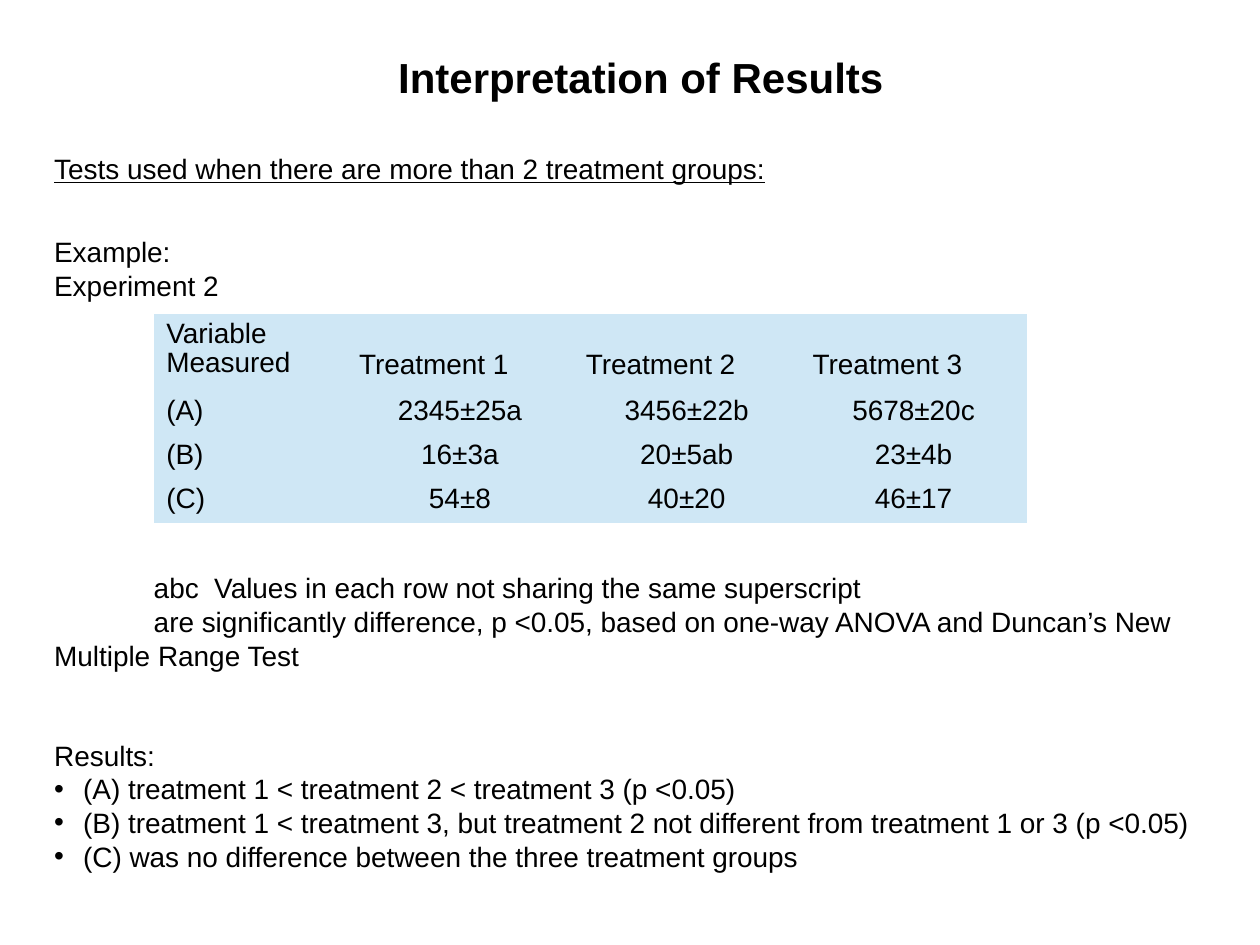
from lxml import etree
from pptx import Presentation
from pptx.dml.color import RGBColor
from pptx.enum.text import MSO_ANCHOR, MSO_AUTO_SIZE, PP_ALIGN
from pptx.oxml.ns import qn
from pptx.util import Inches, Pt

LEFT, CENTER = PP_ALIGN.LEFT, PP_ALIGN.CENTER
TOP, BOTTOM = MSO_ANCHOR.TOP, MSO_ANCHOR.BOTTOM
NO_AUTOFIT = MSO_AUTO_SIZE.NONE

# Content
COLORS = {"text": "000000", "cell": "CFE7F5"}
FONT = "Arial"
TITLE = "Interpretation of Results"
# Text, kind of paragraph, space before in points
BODY = [
    ("Tests used when there are more than 2 treatment groups:", "heading", 0),
    ("Example:", "plain", 28.5),
    ("Experiment 2", "plain", 0),
    ("abc  Values in each row not sharing the same superscript", "note", 153.4),
    ("are significantly difference, p <0.05, based on one-way ANOVA "
     "and Duncan’s New Multiple Range Test", "note", 0),
    ("Results:", "plain", 38),
    ("(A) treatment 1 < treatment 2 < treatment 3 (p <0.05)", "bullet", 0),
    ("(B) treatment 1 < treatment 3, but treatment 2 not different "
     "from treatment 1 or 3 (p <0.05)", "bullet", 0),
    ("(C) was no difference between the three treatment groups", "bullet", 0),
]
# Left margin and first-line indent in inches
INDENTS = {"heading": (0, 0), "plain": (0, 0), "note": (0, 0.79), "bullet": (0.23, -0.23)}
RESULTS = [
    ("Variable\nMeasured", "Treatment 1", "Treatment 2", "Treatment 3"),
    ("(A)", "2345±25a", "3456±22b", "5678±20c"),
    ("(B)", "16±3a", "20±5ab", "23±4b"),
    ("(C)", "54±8", "40±20", "46±17"),
]
COLUMN_WIDTHS = [1.53, 1.8, 1.8, 1.8]
ROW_HEIGHTS = [0.61, 0.35, 0.35, 0.35]
NO_STYLE_NO_GRID = "{2D5ABB26-0587-4C30-8999-92F81FD0307C}"


def place(shape, left, top, width, height):
    shape.left, shape.top = Inches(left), Inches(top)
    shape.width, shape.height = Inches(width), Inches(height)


def format_font(font, size=16):
    font.name, font.size = FONT, Pt(size)
    font.color.rgb = RGBColor.from_string(COLORS["text"])


def set_bullet(paragraph, kind):
    properties = paragraph._p.get_or_add_pPr()
    margin, indent = INDENTS[kind]
    properties.set("marL", str(Inches(margin)))
    properties.set("indent", str(Inches(indent)))
    if kind == "bullet":
        etree.SubElement(properties, qn("a:buChar")).set("char", "•")
    else:
        etree.SubElement(properties, qn("a:buNone"))


presentation = Presentation()
presentation.slide_width, presentation.slide_height = Inches(10), Inches(7.5)
slide = presentation.slides.add_slide(presentation.slide_layouts[1])

# Title, on one line: the right margin is given up to the text
title = slide.shapes.title
place(title, 3.06, 0.36, 4.05, 0.5)
title.text_frame.text = TITLE
title.text_frame.word_wrap = True
title.text_frame.margin_right = 0
title.text_frame.auto_size = NO_AUTOFIT
title.text_frame.vertical_anchor = TOP
title_paragraph = title.text_frame.paragraphs[0]
title_paragraph.alignment = LEFT
format_font(title_paragraph.font, 24)
title_paragraph.font.bold = True

# Body text, with room for the table after "Experiment 2"
body = slide.placeholders[1]
place(body, 0.33, 1.15, 9.51, 7.09)
body.text_frame.text = "\n".join(text for text, _, _ in BODY)
body.text_frame.auto_size = NO_AUTOFIT
for paragraph, (_, kind, space) in zip(body.text_frame.paragraphs, BODY):
    paragraph.line_spacing = Pt(19.25)
    paragraph.space_before = Pt(space)
    set_bullet(paragraph, kind)
    format_font(paragraph.font)
    paragraph.font.underline = kind == "heading"

# Results table
frame = slide.shapes.add_table(
    len(RESULTS), len(COLUMN_WIDTHS), Inches(1.22), Inches(2.49),
    Inches(sum(COLUMN_WIDTHS)), Inches(sum(ROW_HEIGHTS)))
table = frame.table
table.first_row = table.horz_banding = False
table._tbl.tblPr.find(qn("a:tableStyleId")).text = NO_STYLE_NO_GRID
for column, width in zip(table.columns, COLUMN_WIDTHS):
    column.width = Inches(width)
for row_index, (row, height) in enumerate(zip(table.rows, ROW_HEIGHTS)):
    row.height = Inches(height)
    for column_index, cell in enumerate(row.cells):
        is_value = row_index > 0 and column_index > 0
        cell.text = RESULTS[row_index][column_index]
        cell.fill.solid()
        cell.fill.fore_color.rgb = RGBColor.from_string(COLORS["cell"])
        if row_index == 0 and column_index > 0:
            cell.vertical_anchor = BOTTOM
            cell.margin_bottom = Inches(0.08)
        for paragraph in cell.text_frame.paragraphs:
            paragraph.alignment = CENTER if is_value else LEFT
            paragraph.line_spacing = 0.93
            format_font(paragraph.font)

presentation.save("out.pptx")
